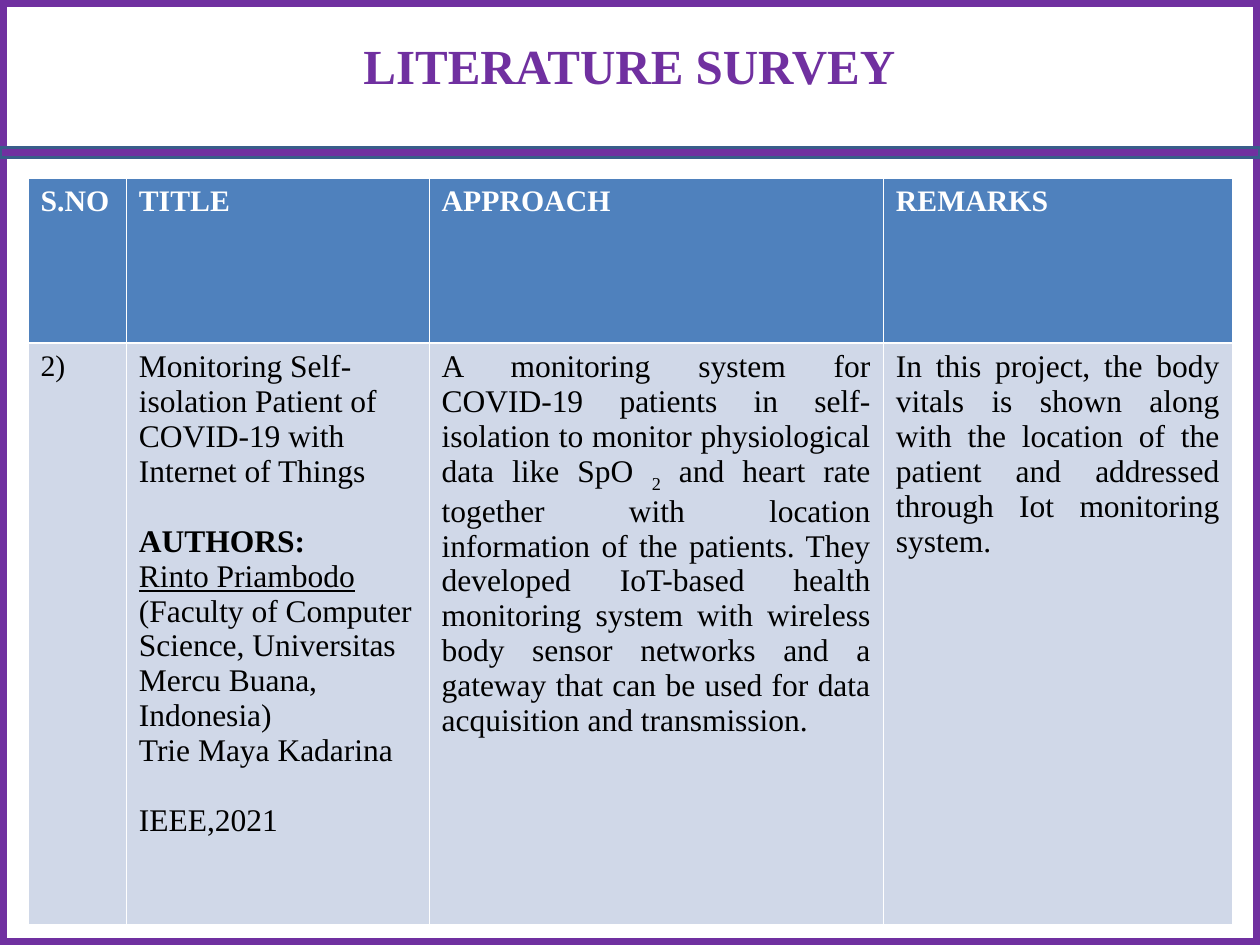
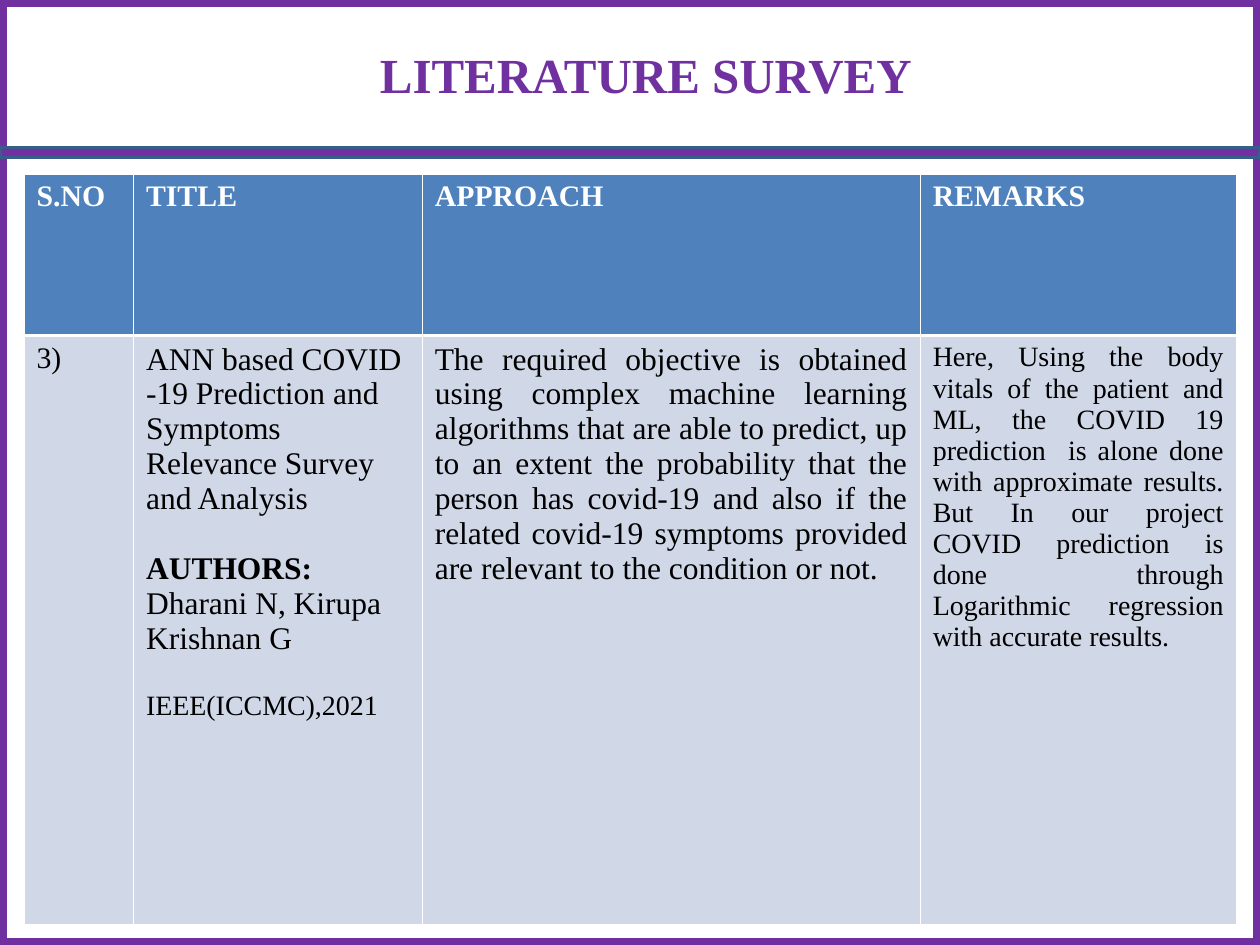
from dataclasses import dataclass, field

from lxml.etree import SubElement
from pptx import Presentation
from pptx.dml.color import RGBColor
from pptx.enum.shapes import MSO_SHAPE
from pptx.enum.text import MSO_ANCHOR, PP_ALIGN
from pptx.oxml import parse_xml
from pptx.oxml.ns import nsdecls, qn
from pptx.util import Pt


@dataclass(frozen=True)
class Theme:
    """Colours, type sizes and line widths shared by the slides."""

    font: str = "Times New Roman"
    purple: RGBColor = RGBColor(0x70, 0x30, 0xA0)
    band_edge: RGBColor = RGBColor(0x38, 0x5D, 0x8A)
    header_fill: RGBColor = RGBColor(0x4F, 0x81, 0xBD)
    body_fill: RGBColor = RGBColor(0xD0, 0xD8, 0xE8)
    white: RGBColor = RGBColor(0xFF, 0xFF, 0xFF)
    black: RGBColor = RGBColor(0, 0, 0)
    title_size: int = 28
    label_size: int = 17
    body_size: int = 18
    small_size: int = 16
    thin_rule: float = 0.45
    thick_rule: float = 1.47


THEME = Theme()
SLIDE_WIDTH, SLIDE_HEIGHT = 720, 540
TITLE_WIDTH, TITLE_HEIGHT = 522, 60
LINE_GAP = 20
HEADINGS = ["S.NO", "TITLE", "APPROACH", "REMARKS"]


@dataclass
class Run:
    """A piece of text with one format."""

    text: str
    size: int = THEME.body_size
    bold: bool = False
    underline: bool = False
    subscript: bool = False
    color: RGBColor = THEME.black


@dataclass
class Block:
    """A paragraph made of runs."""

    runs: list
    align: PP_ALIGN = PP_ALIGN.LEFT
    space_before: int = 0


@dataclass
class Survey:
    """One reviewed paper and the placing of its slide."""

    title_position: tuple
    table_position: tuple
    column_widths: list
    row_heights: list
    cells: list = field(default_factory=list)


def label(text, color=THEME.black, bold=False):
    """Return a one-line block in the label size."""
    return [Block([Run(text, THEME.label_size, bold, color=color)])]


def justified(*runs):
    """Return a cell holding one justified paragraph."""
    return [Block(list(runs), PP_ALIGN.JUSTIFY)]


def authors_heading():
    """Return the bold heading above the author names."""
    return Block([Run("AUTHORS:", bold=True)], space_before=LINE_GAP)


SURVEYS = [
    Survey(
        (98.6, 7.2), (16, 102.2), [56.2, 173, 259.6, 199.4], [94, 332],
        [
            label("2)"),
            [
                Block([Run("Monitoring Self-isolation Patient of COVID-19 with Internet of Things")]),
                authors_heading(),
                Block([Run("Rinto Priambodo", underline=True)]),
                Block([Run("(Faculty of Computer Science, Universitas Mercu Buana, Indonesia)")]),
                Block([Run("Trie Maya Kadarina")]),
                Block([Run("IEEE,2021")], space_before=LINE_GAP),
            ],
            justified(
                Run("A monitoring system for COVID-19 patients in self-isolation to monitor "
                    "physiological data like SpO "),
                Run("2", subscript=True),
                Run(" and heart rate together with location information of the patients. They "
                    "developed IoT-based health monitoring system with wireless body sensor "
                    "networks and a gateway that can be used for data acquisition and transmission."),
            ),
            justified(
                Run("In this project, the body vitals is shown along with the location of the "
                    "patient and addressed through Iot monitoring system."),
            ),
        ],
    ),
    Survey(
        (108, 12.2), (13.7, 99.4), [62.6, 165, 284.6, 180.6], [92.4, 336.2],
        [
            label("3)"),
            [
                Block([Run("ANN based COVID -19 Prediction and Symptoms Relevance Survey and Analysis")]),
                authors_heading(),
                Block([Run("Dharani N, Kirupa Krishnan G")]),
                Block([Run("IEEE(ICCMC),2021", THEME.small_size)], space_before=LINE_GAP),
            ],
            justified(
                Run("The required objective is obtained using complex machine learning algorithms "
                    "that are able to predict, up to an extent the probability that the person has "
                    "covid-19 and also if the related covid-19 symptoms provided are relevant to "
                    "the condition or not."),
            ),
            justified(
                Run("Here, Using the body vitals of the patient and ML, the COVID 19 prediction  is "
                    "alone done with approximate results. But In our project COVID prediction is "
                    "done through Logarithmic regression with accurate results.", THEME.small_size),
            ),
        ],
    ),
]


def write_blocks(text_frame, blocks):
    """Write paragraphs run by run into a text frame."""
    for index, block in enumerate(blocks):
        paragraph = text_frame.add_paragraph() if index else text_frame.paragraphs[0]
        paragraph.alignment = block.align
        paragraph.space_before = Pt(block.space_before)
        for piece in block.runs:
            run = paragraph.add_run()
            run.text = piece.text
            font = run.font
            font.name, font.size = THEME.font, Pt(piece.size)
            font.bold, font.underline = piece.bold, piece.underline
            font.color.rgb = piece.color
            if piece.subscript:
                run._r.get_or_add_rPr().set("baseline", "-25000")


def add_rectangle(slide, left, top, width, height, line_color, line_width, fill=None):
    """Add an outlined rectangle, hollow unless a fill is given."""
    shape = slide.shapes.add_shape(
        MSO_SHAPE.RECTANGLE, Pt(left), Pt(top), Pt(width), Pt(height))
    shape.shadow.inherit = False
    shape.line.color.rgb = line_color
    shape.line.width = Pt(line_width)
    if fill is None:
        shape.fill.background()
    else:
        shape.fill.solid()
        shape.fill.fore_color.rgb = fill


def add_page_frame(slide):
    """Add the page border and the band under the title."""
    add_rectangle(slide, 0, 0, SLIDE_WIDTH, SLIDE_HEIGHT, THEME.purple, 7.5)
    add_rectangle(slide, 0, 84.2, SLIDE_WIDTH, 5.8, THEME.band_edge, 2, THEME.purple)


def add_title(slide, position, text):
    """Add the centred slide title on white."""
    left, top = position
    box = slide.shapes.add_textbox(Pt(left), Pt(top), Pt(TITLE_WIDTH), Pt(TITLE_HEIGHT))
    box.fill.solid()
    box.fill.fore_color.rgb = THEME.white
    box.text_frame.word_wrap = True
    box.text_frame.vertical_anchor = MSO_ANCHOR.MIDDLE
    heading = Run(text, THEME.title_size, bold=True, color=THEME.purple)
    write_blocks(box.text_frame, [Block([heading], PP_ALIGN.CENTER)])


def set_borders(cell, widths):
    """Draw white cell borders, given left, right, top and bottom widths."""
    properties = cell._tc.get_or_add_tcPr()
    for index, (side, width) in enumerate(zip("LRTB", widths)):
        border = parse_xml(f'<a:ln{side} {nsdecls("a")} w="{Pt(width)}"/>')
        fill = SubElement(border, qn("a:solidFill"))
        SubElement(fill, qn("a:srgbClr"), val=str(THEME.white))
        properties.insert(index, border)


def fill_cell(cell, blocks, color, border_widths):
    """Set the text, fill and borders of a cell."""
    cell.fill.solid()
    cell.fill.fore_color.rgb = color
    set_borders(cell, border_widths)
    write_blocks(cell.text_frame, blocks)


def add_survey_table(slide, survey):
    """Add the table with a heading row and one paper."""
    left, top = survey.table_position
    table = slide.shapes.add_table(
        2, len(HEADINGS), Pt(left), Pt(top),
        Pt(sum(survey.column_widths)), Pt(sum(survey.row_heights))).table
    table.horz_banding = False
    for column, width in zip(table.columns, survey.column_widths):
        column.width = Pt(width)
    for row, height in zip(table.rows, survey.row_heights):
        row.height = Pt(height)
    thin, thick = THEME.thin_rule, THEME.thick_rule
    for index, (heading, blocks) in enumerate(zip(HEADINGS, survey.cells)):
        fill_cell(table.cell(0, index), label(heading, THEME.white, True),
                  THEME.header_fill, (thin, thin, thin, thick))
        fill_cell(table.cell(1, index), blocks,
                  THEME.body_fill, (thin, thin, thick, thin))


def main():
    """Build the literature survey slides."""
    presentation = Presentation()
    presentation.slide_width = Pt(SLIDE_WIDTH)
    presentation.slide_height = Pt(SLIDE_HEIGHT)
    for survey in SURVEYS:
        slide = presentation.slides.add_slide(presentation.slide_layouts[6])
        add_page_frame(slide)
        add_survey_table(slide, survey)
        add_title(slide, survey.title_position, "LITERATURE SURVEY")
    presentation.save("out.pptx")


if __name__ == "__main__":
    main()
